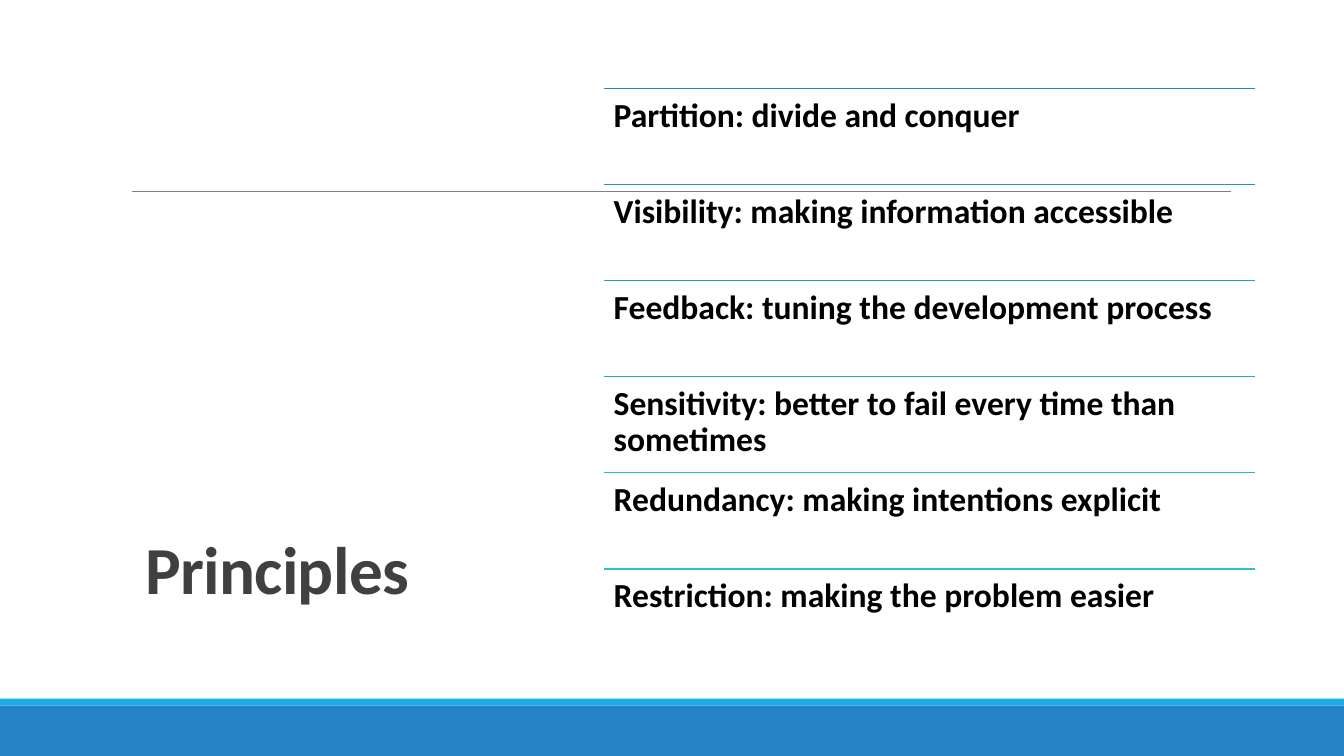
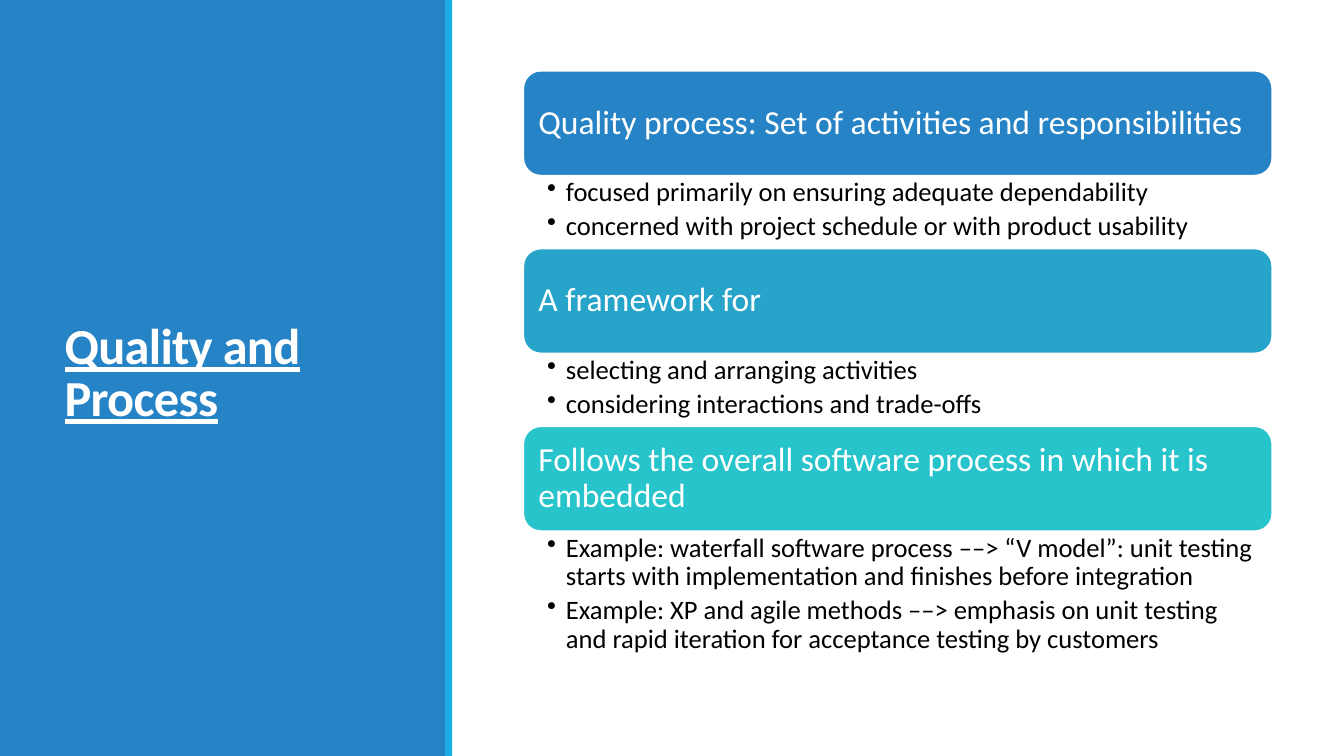
"""Build two slides on the principles and the process of software quality."""
from dataclasses import dataclass

from lxml import etree
from pptx import Presentation
from pptx import util as u
from pptx.dml.color import RGBColor
from pptx.enum import shapes, text
from pptx.oxml.ns import qn

Pt = u.Pt
PAGE_W, PAGE_H = 960, 540


@dataclass(frozen=True)
class Theme:
    """Colours, font and type sizes of the deck."""
    font: str = "Calibri"
    blue: str = "2683C6"
    accent: str = "1CADE4"
    teal: str = "28C4CC"
    rule: str = "808080"
    heading: str = "404040"
    ink: str = "000000"
    paper: str = "FFFFFF"
    title: int = 48
    side_title: int = 36
    body: int = 24
    detail: int = 19

    def blend(self, index, count):
        """Return one of count even steps from blue to teal."""
        first, last = (RGBColor.from_string(c) for c in (self.blue, self.teal))
        share = index / (count - 1)
        return str(RGBColor(*(round(a + (b - a) * share) for a, b in zip(first, last))))


class Slides:
    """Hold the deck, its theme and the page being drawn."""

    def __init__(self, theme):
        """Start an empty widescreen deck."""
        self.theme = theme
        self.deck = Presentation()
        self.deck.slide_width, self.deck.slide_height = Pt(PAGE_W), Pt(PAGE_H)
        self.page = None

    def new_page(self):
        """Add a blank page and make it current."""
        self.page = self.deck.slides.add_slide(self.deck.slide_layouts[6])

    def shape(self, kind, area, fill, line=None):
        """Draw a filled preset shape."""
        box = self.page.shapes.add_shape(kind, *map(Pt, area))
        box.shadow.inherit = False
        box.fill.solid()
        box.fill.fore_color.rgb = RGBColor.from_string(fill)
        if line:
            box.line.color.rgb = RGBColor.from_string(line)
            box.line.width = Pt(1.25)
        else:
            box.line.fill.background()
        return box

    def band(self, area, fill):
        """Draw a plain colour band."""
        self.shape(shapes.MSO_SHAPE.RECTANGLE, area, fill)

    def rule(self, left, right, top, colour, width):
        """Draw a horizontal line."""
        line = self.page.shapes.add_connector(
            shapes.MSO_CONNECTOR.STRAIGHT, Pt(left), Pt(top), Pt(right), Pt(top))
        line.line.color.rgb = RGBColor.from_string(colour)
        line.line.width = Pt(width)
        etree.SubElement(line._element.spPr, qn("a:effectLst"))

    def fill_text(self, box, lines, size, colour, anchor="TOP", align="LEFT",
                  insets=(7.2, 7.2, 7.2, 7.2), spacing=0.9, after=0,
                  bullet=False, tracking=None, **font):
        """Fill a box with paragraphs of one style."""
        frame = box.text_frame
        sides = ("margin_left", "margin_top", "margin_right", "margin_bottom")
        frame_format = dict(zip(sides, map(Pt, insets)), word_wrap=True,
                            vertical_anchor=getattr(text.MSO_ANCHOR, anchor))
        para_format = {"alignment": getattr(text.PP_ALIGN, align),
                       "line_spacing": spacing, "space_after": Pt(after)}
        font_format = {"name": self.theme.font, "size": Pt(size), **font}
        self.apply(frame, frame_format)
        for index, line in enumerate(lines):
            para = frame.add_paragraph() if index else frame.paragraphs[0]
            self.apply(para, para_format)
            if bullet:
                self.bullet(para)
            span = para.add_run()
            span.text = line
            self.apply(span.font, font_format)
            span.font.color.rgb = RGBColor.from_string(colour)
            if tracking:
                span._r.get_or_add_rPr().set("spc", str(tracking))

    @staticmethod
    def apply(target, values):
        """Set each named attribute of the target."""
        for name, value in values.items():
            setattr(target, name, value)

    @staticmethod
    def bullet(para):
        """Give a paragraph a hanging round bullet."""
        props = para._p.get_or_add_pPr()
        props.set("marL", str(Pt(13.5)))
        props.set("indent", str(-Pt(13.5)))
        etree.SubElement(props, qn("a:buChar")).set("char", "•")

    def text(self, area, lines, size, colour, **style):
        """Add a text box."""
        box = self.page.shapes.add_textbox(*map(Pt, area))
        self.fill_text(box, lines, size, colour, **style)

    def title(self, area, words, size, colour, **style):
        """Add a bold, tightly set title."""
        self.text(area, [words], size, colour, insets=(7.2, 3.6, 7.2, 3.6),
                  spacing=0.85, tracking=-50, bold=True, **style)

    def card(self, area, words, fill):
        """Add a rounded heading card."""
        box = self.shape(shapes.MSO_SHAPE.ROUNDED_RECTANGLE, area, fill, self.theme.paper)
        self.fill_text(box, [words], self.theme.body, self.theme.paper, anchor="MIDDLE")

    def details(self, area, lines):
        """Add the bullets below a card."""
        self.text(area, lines, self.theme.detail, self.theme.ink, after=3.8,
                  insets=(17, 2, 13.5, 2), bullet=True)


PRINCIPLES = [
    "Partition: divide and conquer",
    "Visibility: making information accessible",
    "Feedback: tuning the development process",
    "Sensitivity: better to fail every time than sometimes",
    "Redundancy: making intentions explicit",
    "Restriction: making the problem easier",
]

PROCESS = [
    ("Quality process: Set of activities and responsibilities", 52,
     ["focused primarily on ensuring adequate dependability",
      "concerned with project schedule or with product usability"]),
    ("A framework for", 52,
     ["selecting and arranging activities",
      "considering interactions and trade-offs"]),
    ("Follows the overall software process in which it is embedded", 115,
     ["Example: waterfall software process ––> “V model”: unit testing starts "
      "with implementation and finishes before integration",
      "Example: XP and agile methods ––> emphasis on unit testing and rapid "
      "iteration for acceptance testing by customers"]),
]


def principles_page(slides):
    """Draw the list of principles."""
    theme = slides.theme
    left, top, width, step = 431.3, 63.2, 465, 68.6
    slides.new_page()
    slides.band((0, 504, PAGE_W, 36), theme.blue)
    slides.band((0, 499, PAGE_W, 5), theme.accent)
    slides.rule(94.3, 879, 136.5, theme.rule, 0.5)
    slides.title((49.5, 44, 297, 394), "Principles", theme.title, theme.heading,
                 anchor="BOTTOM", align="CENTER")
    for index, words in enumerate(PRINCIPLES):
        y = top + index * step
        slides.rule(left, left + width, y, theme.blend(index, len(PRINCIPLES)), 1.25)
        slides.text((left, y, width, step), [words], theme.body, theme.ink, bold=True)


def process_page(slides):
    """Draw the cards on quality and process."""
    theme = slides.theme
    left, top, width, card, step = 373.8, 50.5, 535, 75, 127
    slides.new_page()
    slides.band((0, 0, 319, PAGE_H), theme.blue)
    slides.band((318, 0, 5, PAGE_H), theme.accent)
    slides.title((39, 41, 243, 454), "Quality and Process", theme.side_title,
                 theme.paper, anchor="MIDDLE", underline=True)
    for index, (heading, height, lines) in enumerate(PROCESS):
        y = top + index * step
        slides.card((left, y, width, card), heading, theme.blend(index, len(PROCESS)))
        slides.details((left, y + card, width, height), lines)


def main():
    """Build and save the deck."""
    slides = Slides(Theme())
    principles_page(slides)
    process_page(slides)
    slides.deck.save("out.pptx")


if __name__ == "__main__":
    main()
